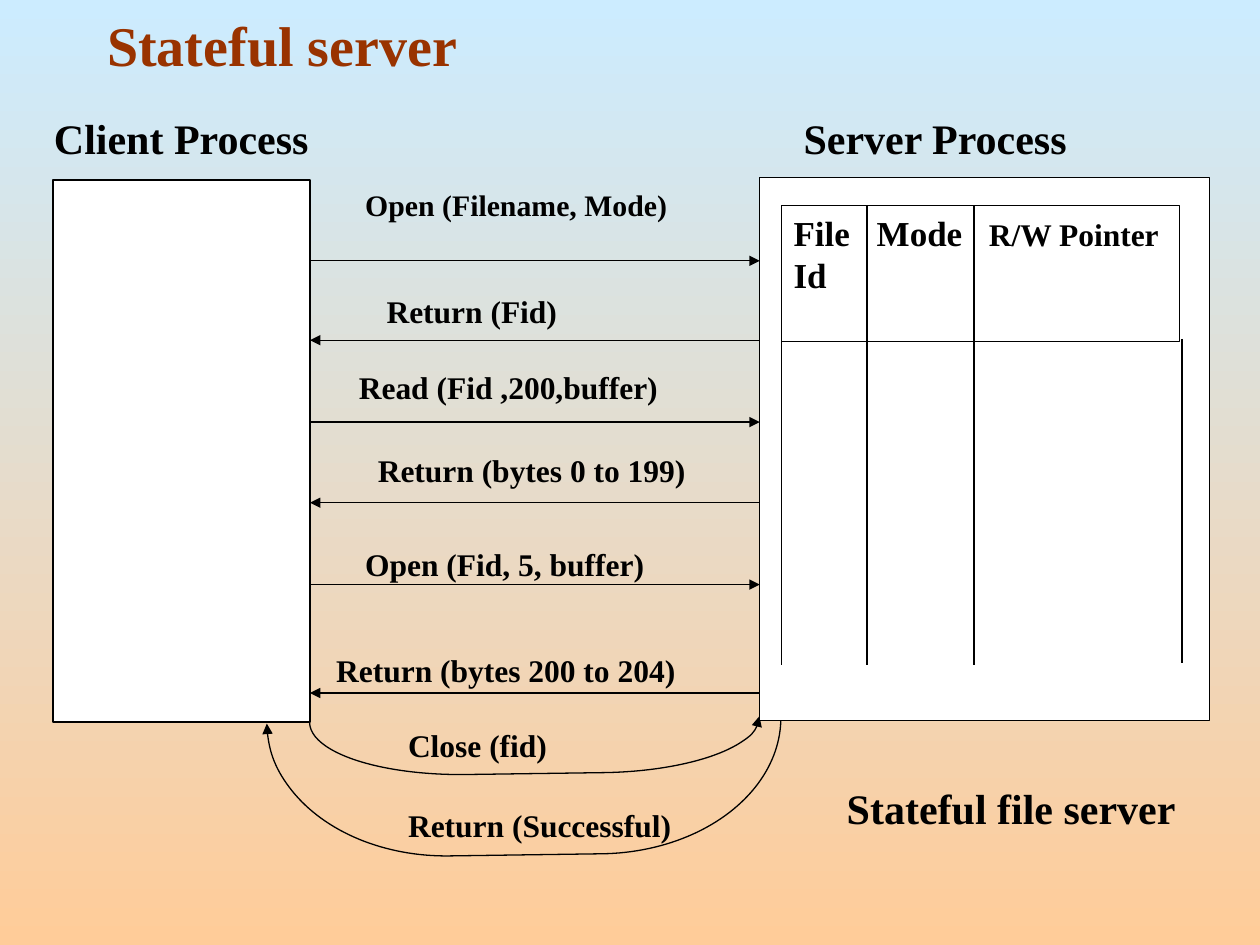
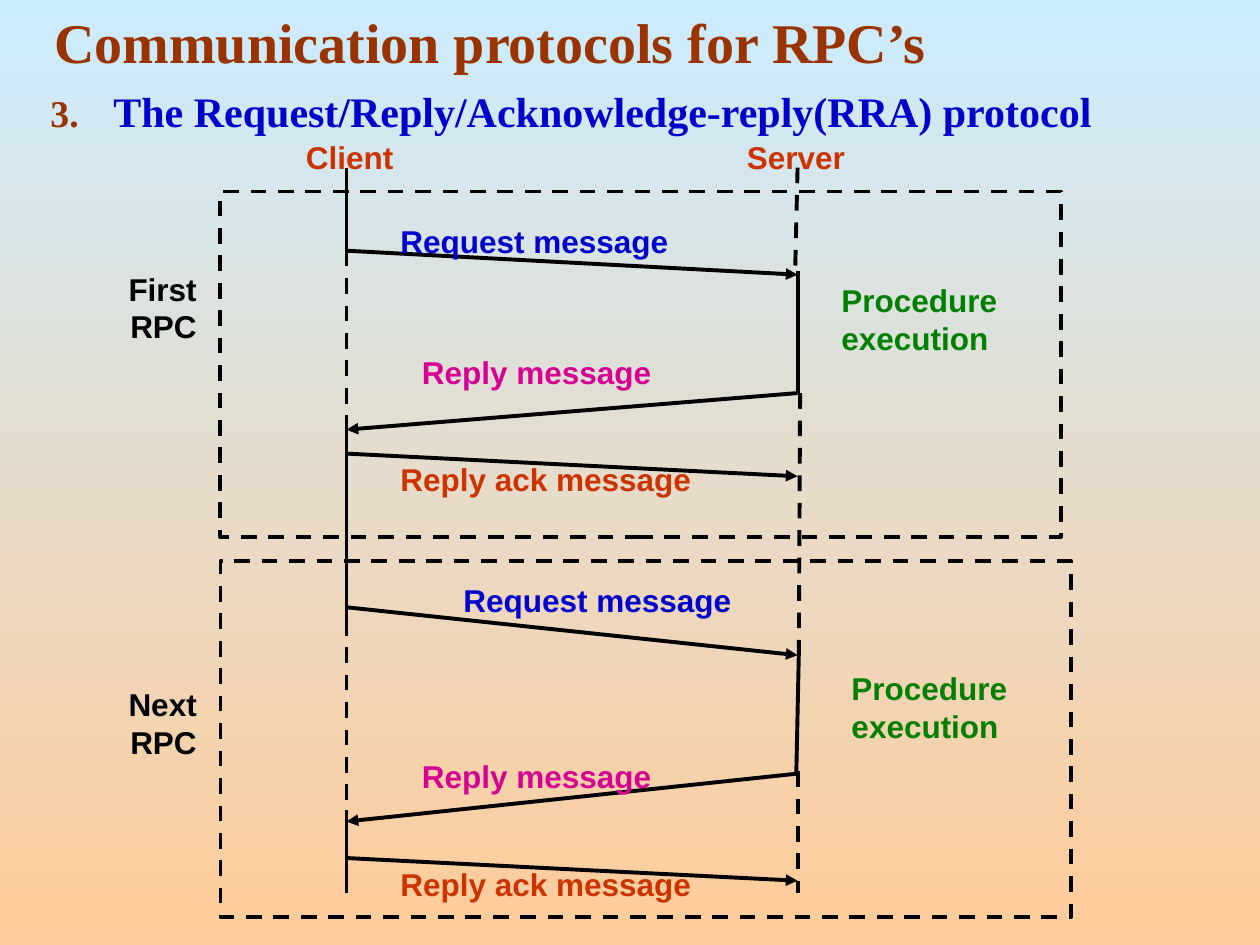
from itertools import cycle

from lxml.etree import SubElement
from pptx import Presentation
from pptx.dml.color import RGBColor
from pptx.enum.dml import MSO_LINE
from pptx.enum.shapes import MSO_CONNECTOR, MSO_SHAPE
from pptx.enum.text import MSO_ANCHOR, MSO_AUTO_SIZE, PP_ALIGN
from pptx.oxml.ns import qn
from pptx.util import Inches, Pt

SKY = RGBColor(0xCC, 0xEC, 0xFF)
PEACH = RGBColor(0xFF, 0xCC, 0x99)
BROWN = RGBColor(0x99, 0x33, 0x00)
BLACK = RGBColor(0x00, 0x00, 0x00)
WHITE = RGBColor(0xFF, 0xFF, 0xFF)
BLUE = RGBColor(0x00, 0x00, 0xCC)
RUST = RGBColor(0xCC, 0x33, 0x00)
MAGENTA = RGBColor(0xD6, 0x00, 0x93)
GREEN = RGBColor(0x00, 0x80, 0x00)

SERIF = "Times New Roman"
SANS = "Arial"
GRID_COLUMNS = 100  # cells are square, so the slide has 75 rows


def write(paragraph, text, size=18, color=BLACK, font=SERIF, align=PP_ALIGN.LEFT):
    """Add a bold run to a paragraph."""
    paragraph.alignment = align
    paragraph.space_before = Pt(0)
    run = paragraph.add_run()
    run.text = text
    run.font.name = font
    run.font.size = Pt(size)
    run.font.bold = True
    run.font.color.rgb = color


class Deck:
    """Holds the shared style and the current slide."""

    def __init__(self):
        self.presentation = Presentation()
        self.presentation.slide_width = Inches(10)
        self.presentation.slide_height = Inches(7.5)
        self.cell = self.presentation.slide_width / GRID_COLUMNS
        self.slide = None
        self.font = SERIF
        self.line_width = 0.75

    def cells(self, *counts):
        return [round(count * self.cell) for count in counts]

    def place(self, shape, box):
        shape.left, shape.top, shape.width, shape.height = self.cells(*box)

    def new_slide(self, title, box, anchor, font, line_width):
        self.slide = self.presentation.slides.add_slide(self.presentation.slide_layouts[1])
        self.font, self.line_width = font, line_width
        fill = self.slide.background.fill
        fill.gradient()
        fill.gradient_angle = 270
        for stop, color in zip(fill.gradient_stops, (SKY, PEACH)):
            stop.color.rgb = color
        heading = self.slide.shapes.title
        self.place(heading, box)
        frame = heading.text_frame
        frame.auto_size = MSO_AUTO_SIZE.NONE
        frame.vertical_anchor = anchor
        write(frame.paragraphs[0], title, size=32, color=BROWN)

    def body(self, text, box, indent, line_spacing, number=None, **text_format):
        body = self.slide.placeholders[1]
        self.place(body, box)
        frame = body.text_frame
        frame.auto_size = MSO_AUTO_SIZE.NONE
        paragraph = frame.paragraphs[0]
        properties = paragraph._p.get_or_add_pPr()
        margin, = self.cells(indent)
        properties.set("marL", str(margin))
        properties.set("indent", str(-margin))
        if number is None:
            SubElement(properties, qn("a:buNone"))
        else:
            bullet_color = SubElement(properties, qn("a:buClr"))
            SubElement(bullet_color, qn("a:srgbClr"), val=str(BROWN))
            SubElement(properties, qn("a:buSzPct"), val="90000")
            SubElement(properties, qn("a:buFont"), typeface=SERIF)
            SubElement(properties, qn("a:buAutoNum"), type="arabicPeriod", startAt=str(number))
        paragraph.line_spacing = line_spacing
        write(paragraph, text, size=24, **text_format)

    def label(self, text, box, **text_format):
        frame = self.slide.shapes.add_textbox(*self.cells(*box)).text_frame
        frame.word_wrap = True
        write(frame.paragraphs[0], text, **{"font": self.font, **text_format})

    def outline(self, line, dashed=False, arrow=None):
        line.color.rgb = BLACK
        line.width = Pt(self.line_width)
        if dashed:
            line.dash_style = MSO_LINE.DASH
        if arrow:
            SubElement(line._get_or_add_ln(), qn(f"a:{arrow}End"), type="triangle")

    def shape(self, kind, box, fill=None, dashed=False, arrow=None):
        shape = self.slide.shapes.add_shape(kind, *self.cells(*box))
        shape.shadow.inherit = False
        if fill is None:
            shape.fill.background()
        else:
            shape.fill.solid()
            shape.fill.fore_color.rgb = fill
        self.outline(shape.line, dashed, arrow)
        return shape

    def curve(self, box, bend, arrow):
        bracket = self.shape(MSO_SHAPE.RIGHT_BRACKET, box, arrow=arrow)
        bracket.adjustments[0] = bend
        bracket.rotation = 89.2

    def line(self, start, end, dashed=False, arrow=None):
        connector = self.slide.shapes.add_connector(
            MSO_CONNECTOR.STRAIGHT, *self.cells(*start, *end))
        self.outline(connector.line, dashed, arrow)
        SubElement(connector._element.spPr, qn("a:effectLst"))


def stateful_server(deck):
    deck.new_slide("Stateful server", (7.5, 0, 88.3, 6.7), MSO_ANCHOR.BOTTOM, SERIF, 0.75)
    client_edge, server_edge = 24.6, 60.3

    # Closing exchange, curving below the two processes
    deck.curve((40.3, 41.4, 4.3, 35.7), 2.89, "head")
    deck.curve((36.3, 42.1, 10.7, 40.8), 1.34, "tail")
    deck.label("Close (fid)", (31.4, 57.1, 20.4, 4.3))
    deck.label("Return (Successful)", (31.4, 63.5, 25.5, 4.3))

    # Client and server processes
    deck.shape(MSO_SHAPE.RECTANGLE, (4.2, 14.3, 20.4, 43), WHITE)
    deck.shape(MSO_SHAPE.RECTANGLE, (server_edge, 14.1, 35.7, 43.1), WHITE)
    deck.label("Client Process", (3.3, 8.4, 23.8, 6.4), size=24)
    deck.label("Server Process", (62.8, 8.4, 30.6, 6.4), size=24)

    # State table inside the server: header with open columns below
    header = deck.shape(MSO_SHAPE.RECTANGLE, (62, 16.3, 31.6, 10.8), WHITE)
    frame = header.text_frame
    frame.vertical_anchor = MSO_ANCHOR.TOP
    names = frame.paragraphs[0]
    tabs = SubElement(names._p.get_or_add_pPr(), qn("a:tabLst"))
    for position in deck.cells(6.6, 15.5):
        SubElement(tabs, qn("a:tab"), pos=str(position), algn="l")
    write(names, "File\tMode\t", size=20)
    write(names, "R/W Pointer")
    write(frame.add_paragraph(), "Id", size=20)
    for column, top, bottom in ((62, 27, 52.8), (68.8, 16.3, 52.8),
                                (77.3, 16.3, 52.8), (93.8, 26.9, 52.6)):
        deck.line((column, top), (column, bottom))

    # Calls go right, returns go left
    calls = (
        ("Open (Filename, Mode)", 28, 14.3, 27.2, 20.7, 17),
        ("Return (Fid)", 29.7, 22.7, 20.4, 27, 18),
        ("Read (Fid ,200,buffer)", 27.5, 28.7, 31.3, 33.5, 18),
        ("Return (bytes 0 to 199)", 29, 35.3, 27.2, 39.9, 18),
        ("Open (Fid, 5, buffer)", 28, 42.8, 25.5, 46.4, 18),
        ("Return (bytes 200 to 204)", 25.7, 51.2, 34.6, 55, 18),
    )
    for text, left, top, width, arrow_row, size in calls:
        start, end = client_edge, server_edge
        if text.startswith("Return"):
            start, end = end, start
        deck.line((start, arrow_row), (end, arrow_row), arrow="tail")
        deck.label(text, (left, top, width, 4.3), size=size)

    deck.body("Stateful file server", (62.8, 61.4, 34.9, 6.6), indent=3.8,
              line_spacing=1.05, align=PP_ALIGN.CENTER)


def rra_protocol(deck):
    deck.new_slide("Communication protocols for RPC’s", (3.3, 0, 90, 6.6),
                   MSO_ANCHOR.MIDDLE, SANS, 2.25)
    deck.body("The Request/Reply/Acknowledge-reply(RRA) protocol", (3, 5.3, 90, 6.6),
              indent=5, line_spacing=1.25, number=3, color=BLUE, align=PP_ALIGN.JUSTIFY)
    client, server = 27.5, 63.3

    # Lifelines: solid while active, dashed while waiting
    client_rows = ((13.3, 19.9), (19.9, 34), (33.8, 49.2), (49.2, 65.2), (64.3, 70.9))
    for (top, bottom), dashed in zip(client_rows, cycle((False, True))):
        deck.line((client, top), (client, bottom), dashed)
    server_points = (
        ((63.3, 13.3), (63.1, 21.9)), ((63.3, 21.5), (63.3, 31.2)),
        ((63.5, 31.2), (63.4, 52.2)), ((63.4, 51.9), (63.2, 61.5)),
        ((63.3, 61.2), (63.3, 70.9)),
    )
    for (top, bottom), dashed in zip(server_points, cycle((True, False))):
        deck.line(top, bottom, dashed)
    deck.label("Client", (23.3, 10.5, 15, 4), color=RUST)
    deck.label("Server", (58.3, 10.5, 16.7, 4), color=RUST)

    # The two calls
    calls = (
        ("First RPC", (17.5, 15.2, 66.7, 27.4), 20.9, (65.8, 21.8)),
        ("Next RPC", (17.5, 44.5, 67.5, 28.3), 53.9, (66.6, 52.6)),
    )
    for name, frame_box, name_row, procedure_corner in calls:
        deck.shape(MSO_SHAPE.RECTANGLE, frame_box, dashed=True)
        deck.label(name, (4.1, name_row, 12.5, 7), align=PP_ALIGN.RIGHT)
        deck.label("Procedure execution", (*procedure_corner, 16.7, 7), color=GREEN)

    # Messages: start row, end row, label column and row
    request = ("Request message", BLUE, client, server)
    reply = ("Reply message", MAGENTA, server, client)
    acknowledgement = ("Reply ack message", RUST, client, server)
    messages = (
        (request, 19.9, 21.8, 30.8, 17.1),
        (reply, 31.2, 34.1, 32.5, 27.5),
        (acknowledgement, 36, 37.8, 30.8, 36),
        (request, 48.2, 52, 35.8, 45.6),
        (reply, 61.4, 65.2, 32.5, 59.6),
        (acknowledgement, 68.1, 69.9, 30.8, 68.2),
    )
    for (text, color, start, end), start_row, end_row, left, top in messages:
        deck.line((start, start_row), (end, end_row), arrow="tail")
        deck.label(text, (left, top, 28.3, 4), color=color)


def main():
    deck = Deck()
    stateful_server(deck)
    rra_protocol(deck)
    deck.presentation.save("out.pptx")


if __name__ == "__main__":
    main()
